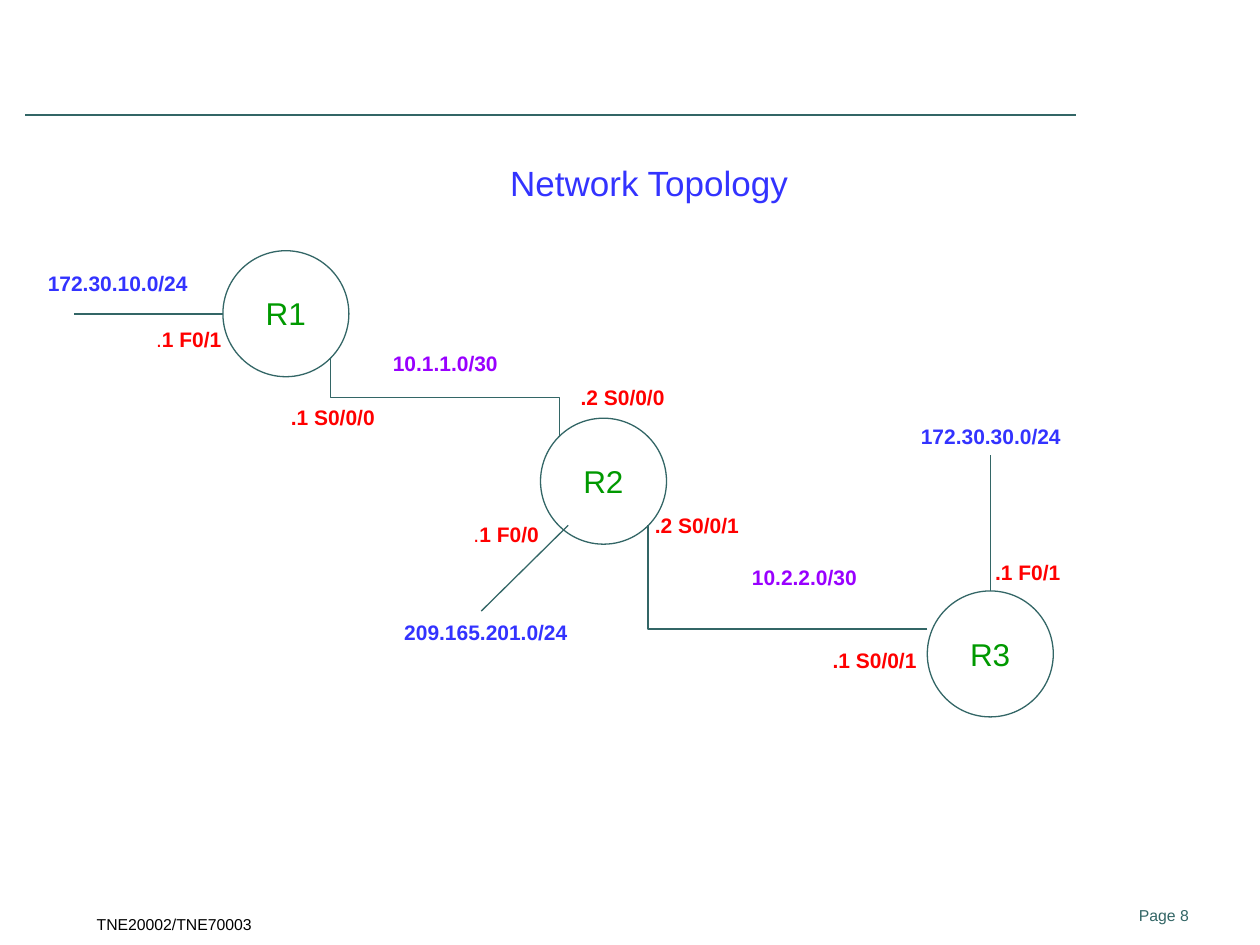
from lxml import etree
from pptx import Presentation
from pptx.dml.color import RGBColor
from pptx.enum import shapes, text
from pptx.oxml.ns import qn
from pptx.util import Pt

TEAL, BLUE, RED = "336666", "3333FF", "FF0000"
PURPLE, GREEN, BLACK = "9900FF", "009900", "000000"
ROUTER_SIZE = 72

# name, left, top
ROUTERS = [("R1", 127.4, 143.3), ("R2", 308.9, 239), ("R3", 529.9, 337.7)]

# text, left, top, width
NETWORKS = [
    ("172.30.10.0/24", 20.2, 151.2, 95),
    ("172.30.30.0/24", 519.1, 238.3, 95),
    ("209.165.201.0/24", 223.9, 350.6, 108.7),
]
SERIAL_LINKS = [("10.1.1.0/30", 217.4, 196.6, 74.9),
                ("10.2.2.0/30", 422.6, 319, 74.9)]

# plain part, bold part, left, top
INTERFACES = [
    (".", "1 F0/1", 82.1, 182.9),
    ("", ".1 S0/0/0", 159.1, 227.5),
    ("", ".2 S0/0/0", 324.7, 216),
    ("", ".2 S0/0/1", 367.2, 289.4),
    ("", ".1 S0/0/1", 468.7, 366.5),
    ("", ".1 F0/1", 561.6, 316.1),
    (".", "1 F0/0", 263.5, 294.5),
]


def rgb(color):
    return RGBColor.from_string(color)


def style_line(sp):
    sp.line.color.rgb = rgb(TEAL)
    sp.line.width = Pt(0.75)


def add_label(s, runs, left, top, width, height, size, color, wrap=True):
    """Add a one-line text box; runs is a list of (wording, bold)."""
    sp = s.shapes.add_textbox(Pt(left), Pt(top), Pt(width), Pt(height))
    tf = sp.text_frame
    tf.word_wrap = wrap
    tf.auto_size = text.MSO_AUTO_SIZE.NONE
    p = tf.paragraphs[0]
    for wording, bold in runs:
        r = p.add_run()
        r.text = wording
        r.font.name = "Arial"
        r.font.size = Pt(size)
        r.font.bold = bold
        r.font.color.rgb = rgb(color)


def add_router(s, name, left, top):
    sp = s.shapes.add_shape(shapes.MSO_SHAPE.OVAL, Pt(left), Pt(top),
                            Pt(ROUTER_SIZE), Pt(ROUTER_SIZE))
    sp.shadow.inherit = False
    sp.fill.background()
    style_line(sp)
    add_label(s, [(name, False)], left + 17.3, top + 21.4, 37.4, 28.8,
              18, GREEN, wrap=False)


def add_line(s, start, end, kind=shapes.MSO_CONNECTOR.STRAIGHT):
    sp = s.shapes.add_connector(kind, *(Pt(v) for v in start + end))
    style_line(sp)
    etree.SubElement(sp._element.spPr, qn("a:effectLst"))
    return sp


def add_elbow(s, start, end, preset, rotation, flip=False):
    """Add a bent connector whose first leg follows the rotation."""
    sp = add_line(s, start, end, shapes.MSO_CONNECTOR.ELBOW)
    left, top, width, height = sp.left, sp.top, sp.width, sp.height
    if rotation % 180:  # a quarter turn swaps the sides around the centre
        sp.left = left + (width - height) // 2
        sp.top = top + (height - width) // 2
        sp.width, sp.height = height, width
    xfrm = sp._element.spPr.find(qn("a:xfrm"))
    for key in ("flipH", "flipV"):
        xfrm.attrib.pop(key, None)
    xfrm.set("rot", str(rotation * 60000))
    if flip:
        xfrm.set("flipH", "1")
    sp._element.spPr.find(qn("a:prstGeom")).set("prst", preset)


def main():
    prs = Presentation()
    prs.slide_width, prs.slide_height = Pt(720), Pt(540)
    s = prs.slides.add_slide(prs.slide_layouts[6])

    # Header rule, title and footer
    add_line(s, (14.4, 65.7), (615, 65.7))
    add_label(s, [("Network Topology", False)], 284.4, 88.6, 183.6, 31.7,
              20, BLUE)
    add_label(s, [("Page 8", False)], 643.7, 514.1, 56.9, 22.3, 9, TEAL)
    add_label(s, [("TNE20002/TNE70003", False)], 48.2, 519.1, 108, 20.9,
              9, BLACK)

    # Routers
    for router in ROUTERS:
        add_router(s, *router)

    # Serial links between routers
    add_elbow(s, (188.8, 205.2), (319.6, 249.1), "bentConnector3", 270, True)
    add_elbow(s, (529.9, 359.5), (370.3, 300.2), "bentConnector2", 180)

    # Local networks
    add_line(s, (127.4, 179.5), (42.5, 179.5))
    add_line(s, (565.9, 337.7), (565.9, 260))
    add_line(s, (324.7, 300.2), (275, 349.2))

    # Addresses and interfaces
    for color, labels in ((BLUE, NETWORKS), (PURPLE, SERIAL_LINKS)):
        for wording, left, top, width in labels:
            add_label(s, [(wording, True)], left, top, width, 21.6,
                      12, color, wrap=False)
    for plain, bold, left, top in INTERFACES:
        runs = [(plain, False)] if plain else []
        add_label(s, runs + [(bold, True)], left, top, 81.4, 21.6, 12, RED)

    prs.save("out.pptx")


if __name__ == "__main__":
    main()
